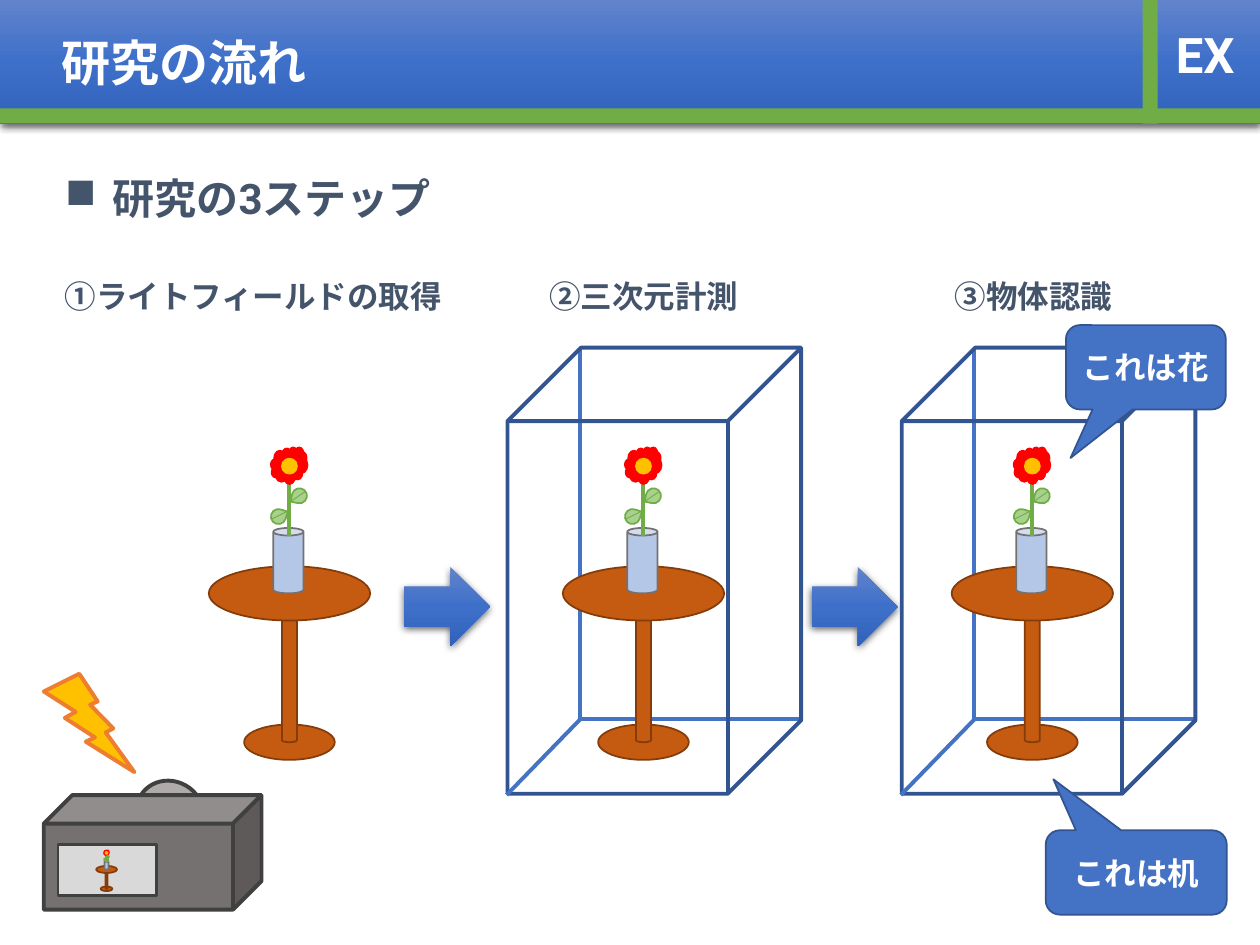
from copy import deepcopy

from pptx import Presentation
from pptx.dml.color import RGBColor
from pptx.enum import lang, shapes, text
from pptx.oxml import parse_xml
from pptx.oxml.ns import nsdecls, qn
from pptx.util import Pt

KIND = shapes.MSO_SHAPE
WHITE = RGBColor(0xFF, 0xFF, 0xFF)
SLATE = RGBColor(0x44, 0x54, 0x6A)
BLUE = RGBColor(0x44, 0x72, 0xC4)
DARK_BLUE = RGBColor(0x32, 0x54, 0x91)
GRADIENT = (RGBColor(0x61, 0x83, 0xCB), RGBColor(0x3E, 0x70, 0xCA), RGBColor(0x30, 0x62, 0xBB))
GREEN = RGBColor(0x70, 0xAD, 0x47)
LEAF = RGBColor(0xA9, 0xD1, 0x8E)
WOOD = RGBColor(0xC5, 0x5A, 0x11)
DARK_WOOD = RGBColor(0x84, 0x3C, 0x0B)
VASE = RGBColor(0xB4, 0xC7, 0xE7)
GRAY = RGBColor(0x76, 0x71, 0x71)
DARK_GRAY = RGBColor(0x40, 0x40, 0x40)
LENS = RGBColor(0xAF, 0xAB, 0xAB)
SCREEN = RGBColor(0xD9, 0xD9, 0xD9)
RED = RGBColor(0xFF, 0x00, 0x00)
GOLD = RGBColor(0xFF, 0xC0, 0x00)
ORANGE = RGBColor(0xED, 0x7D, 0x31)
CENTER = text.PP_ALIGN.CENTER
MIDDLE = text.MSO_ANCHOR.MIDDLE


def set_values(target, values):
    for name, value in values.items():
        setattr(target, name, value)


def add_figure(parent, kind, box, fill=None, line=None, width=1, rotation=0):
    """Add a preset shape; a missing fill or line colour means none."""
    shape = parent.add_shape(kind, *map(Pt, box))
    shape.shadow.inherit = False
    shape.rotation = rotation
    if fill is None:
        shape.fill.background()
    else:
        shape.fill.solid()
        shape.fill.fore_color.rgb = fill
    if line is None:
        shape.line.fill.background()
    else:
        shape.line.color.rgb = line
        shape.line.width = Pt(width)
    return shape


def add_line(parent, start, end, color, width=2.25):
    connector = parent.add_connector(shapes.MSO_CONNECTOR.STRAIGHT, *map(Pt, (*start, *end)))
    connector.line.color.rgb = color
    connector.line.width = Pt(width)
    connector._element.spPr.append(parse_xml(f"<a:effectLst {nsdecls('a')}/>"))


def add_glossy(parent, kind, box):
    """Add a shape with the blue gradient and a soft shadow below."""
    shape = add_figure(parent, kind, box)
    shape.fill.gradient()
    shape.fill.gradient_angle = 270
    properties = shape._element.spPr
    stops = next(properties.iter(qn("a:gsLst")))
    stops.insert(1, deepcopy(stops[0]))
    for index, (stop, color) in enumerate(zip(shape.fill.gradient_stops, GRADIENT)):
        set_values(stop, {"position": index / 2})
        stop.color.rgb = color
    properties.find(qn("a:effectLst")).append(parse_xml(
        f'<a:outerShdw {nsdecls("a")} blurRad="{Pt(4.5)}" dist="{Pt(1.5)}" dir="5400000" '
        'algn="ctr" rotWithShape="0"><a:srgbClr val="000000"><a:alpha val="63000"/>'
        '</a:srgbClr></a:outerShdw>'))
    return shape


def write(shape, words, size, color, frame_format=None, **paragraph_format):
    frame = shape.text_frame
    set_values(frame, {"word_wrap": True, **(frame_format or {})})
    paragraph = frame.paragraphs[0]
    set_values(paragraph, paragraph_format)
    run = paragraph.add_run()
    run.text = words
    set_values(run.font, {"name": "Roboto", "size": Pt(size), "bold": True,
                          "language_id": lang.MSO_LANGUAGE_ID.JAPANESE})
    run.font.color.rgb = color
    run._r.rPr.append(parse_xml(f'<a:ea {nsdecls("a")} typeface="Roboto"/>'))
    return paragraph


def add_body_text(parent, box, words, size, **paragraph_format):
    textbox = parent.add_textbox(*map(Pt, box))
    return write(textbox, words, size, SLATE, line_spacing=0.9,
                 space_before=Pt(7.5), **paragraph_format)


def add_heading(parent):
    paragraph = add_body_text(parent, (30.2, 98.6, 658.8, 441.4), "研究の3ステップ", 24)
    properties = paragraph._p.get_or_add_pPr()
    properties.set("marL", str(Pt(27)))
    properties.set("indent", str(-Pt(27)))
    properties.append(parse_xml(f'<a:buChar {nsdecls("a")} char="■"/>'))


def add_header(parent):
    banner = add_glossy(parent, KIND.RECTANGLE, (0, 0, 720, 70.6))
    write(banner, "研究の流れ", 28, WHITE,
          {"vertical_anchor": MIDDLE, "margin_left": Pt(35.2)}, alignment=text.PP_ALIGN.LEFT)
    add_figure(parent, KIND.RECTANGLE, (0, 61.9, 720, 8.6), GREEN)
    add_figure(parent, KIND.RECTANGLE, (653, 0, 8.6, 70.6), GREEN)
    badge = parent.add_textbox(*map(Pt, (657.4, 0, 62.6, 61.9)))
    write(badge, "EX", 28, WHITE, {"vertical_anchor": MIDDLE}, alignment=CENTER)


def add_flower_table(parent, left, top, scale=1):
    group = parent.add_group_shape().shapes

    def place(x, y):
        return left + x * scale, top + y * scale

    def part(kind, x, y, width, height, fill, line, rotation=0):
        box = (*place(x, y), width * scale, height * scale)
        add_figure(group, kind, box, fill, line, rotation=rotation)

    part(KIND.OVAL, 20.2, 158.4, 51.8, 20.2, WOOD, DARK_WOOD)
    part(KIND.CAN, 41.8, 83.5, 8.6, 85, WOOD, DARK_WOOD)
    part(KIND.OVAL, 0, 68, 92.2, 31, WOOD, DARK_WOOD)
    part(KIND.CAN, 36.9, 46.1, 17.3, 37.4, VASE, GRAY)
    add_line(group, place(46.1, 12.2), place(46.1, 50.4), GREEN)
    part(KIND.CLOUD, 35.5, 0, 20.9, 20.9, RED, RED)
    part(KIND.TEAR, 35.5, 35.3, 8.6, 8.6, LEAF, GREEN, 17.4)
    part(KIND.TEAR, 47.5, 23.4, 8.6, 8.6, LEAF, GREEN, 192)
    add_line(group, place(44.6, 36.7), place(36, 41), GREEN, 0.5)
    add_line(group, place(55.2, 25.2), place(46.8, 31), GREEN, 0.5)
    part(KIND.OVAL, 41.8, 6.5, 8.6, 8.6, GOLD, GOLD)


def add_measured_table(parent, left, table_left):
    """Add a flower table inside a wire box whose hidden edges are lighter."""
    corner = (left + 41.5, 411.1)
    add_line(parent, (left + 167, 411.1), corner, BLUE)
    add_line(parent, (corner[0], 199.4), corner, BLUE)
    add_figure(parent, KIND.CUBE, (left, 198.7, 167.8, 254.9), line=DARK_BLUE, width=2.25)
    add_flower_table(parent, table_left, 255.6)
    add_line(parent, corner, (left - 0.5, 454.3), BLUE)


def add_callout(parent, box, words, tip):
    callout = add_figure(parent, KIND.ROUNDED_RECTANGULAR_CALLOUT, box, BLUE, DARK_BLUE)
    for index, value in enumerate((*tip, 0.167)):
        callout.adjustments[index] = value
    write(callout, words, 18, WHITE, {"vertical_anchor": MIDDLE}, alignment=CENTER)


def add_camera(parent):
    group = parent.add_group_shape().shapes
    add_figure(group, KIND.OVAL, (79.2, 445, 36, 38.9), LENS, DARK_GRAY, 2.25, 299.2)
    add_figure(group, KIND.CUBE, (25, 454.3, 124.4, 65.5), GRAY, DARK_GRAY, 2.25)
    add_figure(group, KIND.RECTANGLE, (33.1, 482.4, 56.2, 29.5), SCREEN, DARK_GRAY, 1.5)
    add_flower_table(group, 54.9, 486, 0.13)


def main():
    presentation = Presentation()
    set_values(presentation, {"slide_width": Pt(720), "slide_height": Pt(540)})
    parent = presentation.slides.add_slide(presentation.slide_layouts[6]).shapes

    add_heading(parent)
    add_header(parent)
    add_flower_table(parent, 119.3, 255.6)
    add_measured_table(parent, 290, 321.6)
    for left in (231, 463.9):
        add_glossy(parent, KIND.RIGHT_ARROW, (left, 324, 49, 45.4))
    add_measured_table(parent, 515.3, 543.8)
    add_callout(parent, (609.1, 185.8, 91.4, 48.2), "これは花", (-0.471, 1.076))
    add_callout(parent, (597.6, 474.5, 103.4, 48.2), "これは机", (-0.458, -1.106))
    add_figure(parent, KIND.LIGHTNING_BOLT, (25, 385, 51.8, 56.2), GOLD, ORANGE, 2.25)
    add_camera(parent)
    steps = ((25.2, "①ライトフィールドの取得"), (248.4, "②三次元計測"), (471, "③物体認識"))
    for left, words in steps:
        add_body_text(parent, (left, 157, 239, 39.6), words, 18, alignment=CENTER)
    presentation.save("out.pptx")


if __name__ == "__main__":
    main()
